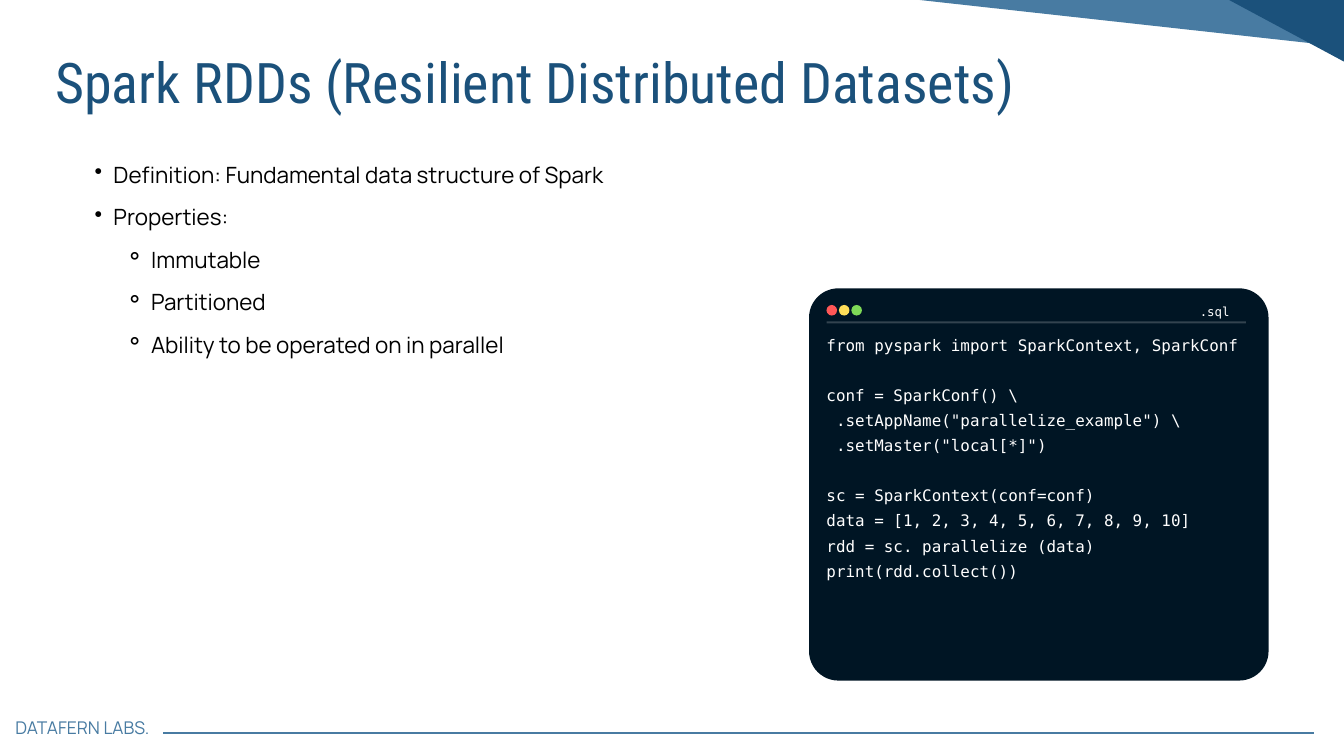
from lxml import etree
from pptx import Presentation
from pptx import util as u
from pptx.dml.color import RGBColor
from pptx.enum import shapes, text
from pptx.oxml import ns

NAVY, STEEL, PANEL, WHITE, BLACK = "1B517B", "487BA2", "001524", "FFFFFF", "000000"
MONO, BODY = "DejaVu Sans Mono", "Manrope"

presentation = Presentation()
presentation.slide_width, presentation.slide_height = u.Cm(50.8), u.Cm(28.58)
slide = presentation.slides.add_slide(presentation.slide_layouts[6])


def add_filled(kind, left, top, width, height, colour):
    shape = slide.shapes.add_shape(kind, u.Cm(left), u.Cm(top), u.Cm(width), u.Cm(height))
    shape.shadow.inherit = False
    shape.fill.solid()
    shape.fill.fore_color.rgb = RGBColor.from_string(colour)
    shape.line.fill.background()
    return shape


def add_text(content, left, top, width, height, font, size, colour, spacing):
    """Add a text box without margins, one paragraph per line, and return its paragraphs."""
    box = slide.shapes.add_textbox(u.Cm(left), u.Cm(top), u.Cm(width), u.Cm(height))
    frame = box.text_frame
    frame.word_wrap = True
    frame.margin_left = frame.margin_top = frame.margin_right = frame.margin_bottom = 0
    frame.text = content
    for paragraph in frame.paragraphs:
        paragraph.line_spacing = u.Pt(spacing)
        for run in paragraph.runs:
            run.font.name = font
            run.font.size = u.Pt(size)
            run.font.color.rgb = RGBColor.from_string(colour)
    return frame.paragraphs


# Title and bullets
add_text("Spark RDDs (Resilient Distributed Datasets)",
         2.08, 1.8, 46.38, 2.59, "Roboto Condensed", 60, NAVY, 72)

bullets = [
    (1, "Definition: Fundamental data structure of Spark"),
    (1, "Properties:"),
    (2, "Immutable"),
    (2, "Partitioned"),
    (2, "Ability to be operated on in parallel"),
]
bullet_styles = {1: ("•", 1.45, -0.71), 2: ("⚬", 2.87, -0.97)}
paragraphs = add_text("\n".join(line for _, line in bullets),
                      2.84, 5.49, 37.87, 7.85, BODY, 24, BLACK, 45.6)
for paragraph, (level, _) in zip(paragraphs, bullets):
    character, margin, indent = bullet_styles[level]
    paragraph.level = level
    properties = paragraph._p.get_or_add_pPr()
    properties.set("marL", str(u.Cm(margin)))
    properties.set("indent", str(u.Cm(indent)))
    etree.SubElement(properties, ns.qn("a:buChar"), char=character)

# Corner bands
add_filled(shapes.MSO_SHAPE.RECTANGLE, 41.96, -8.28, 1.5, 16.81, STEEL).rotation = 96.3
add_filled(shapes.MSO_SHAPE.RECTANGLE, 48.01, -2.51, 2.26, 5.33, NAVY).rotation = 298.2

# Code window
panel = add_filled(shapes.MSO_SHAPE.ROUNDED_RECTANGLE, 30.58, 10.9, 17.37, 14.83, PANEL)
panel.adjustments[0] = 0.075
for index, colour in enumerate(["FF5757", "FFDE59", "7ED957"]):
    add_filled(shapes.MSO_SHAPE.OVAL, 31.24 + 0.47 * index, 11.53, 0.4, 0.4, colour)
file_type = add_text(".sql", 37.69, 11.33, 8.79, 0.69, MONO, 13.3, WHITE, 21.1)
file_type[0].alignment = text.PP_ALIGN.RIGHT

code_blocks = [
    ["from pyspark import SparkContext, SparkConf"],
    ["conf = SparkConf() \\",
     ' .setAppName("parallelize_example") \\',
     ' .setMaster("local[*]")'],
    ["sc = SparkContext(conf=conf)",
     "data = [1, 2, 3, 4, 5, 6, 7, 8, 9, 10]",
     "rdd = sc. parallelize (data)",
     "print(rdd.collect())"],
]
code_lines = [line for block in code_blocks for line in block]
block_starts = [block[0] for block in code_blocks[1:]]
code = add_text("\n".join(code_lines), 31.24, 12.45, 16.28, 10.11, MONO, 17, WHITE, 26.9)
for paragraph in code:
    if paragraph.text in block_starts:
        paragraph.space_before = u.Pt(26.9)

# Footer
add_text("DATAFERN LABS.", 0.58, 27.1, 5.59, 0.84, BODY, 18.8, STEEL, 22.6)

# Window divider and footer rule
rules = [(31.24, 47.09, 12.19, WHITE, 2.25, 20), (6.17, 49.68, 27.71, STEEL, 1.5, 100)]
for left, right, top, colour, weight, opacity in rules:
    rule = slide.shapes.add_connector(
        shapes.MSO_CONNECTOR.STRAIGHT, u.Cm(left), u.Cm(top), u.Cm(right), u.Cm(top))
    rule.line.color.rgb = RGBColor.from_string(colour)
    rule.line.width = u.Pt(weight)
    etree.SubElement(rule._element.spPr, ns.qn("a:effectLst"))
    if opacity < 100:
        fill_colour = rule._element.spPr.find(".//" + ns.qn("a:srgbClr"))
        etree.SubElement(fill_colour, ns.qn("a:alpha"), val=str(opacity * 1000))

presentation.save("out.pptx")
